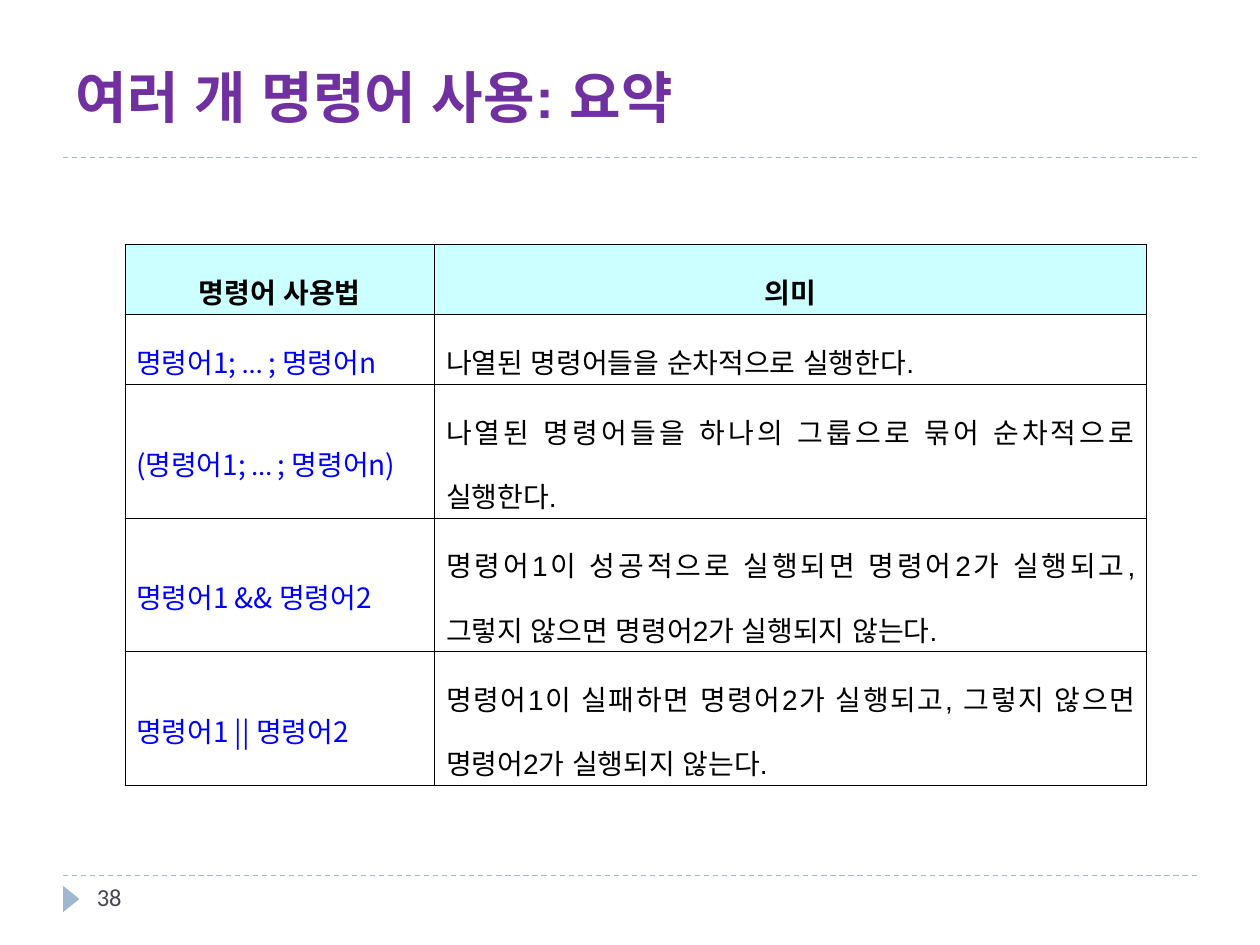
from lxml import etree
from pptx import Presentation
from pptx import util as u
from pptx.dml.color import RGBColor
from pptx.enum import dml, lang, shapes, text
from pptx.oxml import parse_xml
from pptx.oxml.ns import qn

Inches = u.Inches
ALIGN = text.PP_ALIGN
KOREAN_FONT = "Noto Sans CJK KR"
PURPLE, BLUE, BLACK = "7030A0", "0000FF", "000000"
STEEL, SLATE, CYAN = "9FB8CD", "464653", "CCFFFF"


def color(hex_text):
    return RGBColor.from_string(hex_text)


def add_text(paragraph, content, font="Arial", size=16, fill=BLACK, bold=False):
    run = paragraph.add_run()
    run.text = content
    run.font.name = font
    run.font.size = u.Pt(size)
    run.font.bold = bold
    run.font.color.rgb = color(fill)
    run.font.language_id = lang.MSO_LANGUAGE_ID.KOREAN
    latin = run.font._element.find(qn("a:latin"))
    east_asian = etree.Element(qn("a:ea"), typeface=KOREAN_FONT)
    latin.addnext(east_asian)


presentation = Presentation()
presentation.slide_width = Inches(10)
presentation.slide_height = Inches(7.5)
slide = presentation.slides.add_slide(presentation.slide_layouts[5])

# Dashed rules above and below the content
for y in (6.95, 1.25):
    rule = slide.shapes.add_connector(
        shapes.MSO_CONNECTOR.STRAIGHT, Inches(0.5), Inches(y), Inches(9.5), Inches(y))
    rule.line.color.rgb = color(STEEL)
    rule.line.width = u.Pt(0.75)
    rule.line.dash_style = dml.MSO_LINE.DASH
    etree.SubElement(rule._element.spPr, qn("a:effectLst"))

# Page marker and number
marker = slide.shapes.add_shape(
    shapes.MSO_SHAPE.ISOSCELES_TRIANGLE,
    Inches(0.46), Inches(7.07), Inches(0.21), Inches(0.13))
marker.rotation = 90
marker.shadow.inherit = False
marker.fill.solid()
marker.fill.fore_color.rgb = color(STEEL)
marker.line.fill.background()

number = slide.shapes.add_textbox(Inches(0.67), Inches(6.95), Inches(2.17), Inches(0.4))
number.text_frame.word_wrap = True
add_text(number.text_frame.paragraphs[0], "38", font="Calibri", size=14, fill=SLATE)

# Title
title = slide.shapes.title
title.left, title.top = Inches(0.5), Inches(0.17)
title.width, title.height = Inches(9), Inches(0.91)
title.text_frame.vertical_anchor = text.MSO_ANCHOR.BOTTOM
title.text_frame.auto_size = text.MSO_AUTO_SIZE.NONE
title_paragraph = title.text_frame.paragraphs[0]
title_paragraph.alignment = ALIGN.LEFT
add_text(title_paragraph, "여러 개 명령어 사용: 요약", size=32, fill=PURPLE, bold=True)

# Table content: usage pieces, then meaning
headers = (["명령어 사용법"], "의미")
commands = [
    (["명령어", "1; ", "… ", "; ", "명령어", "n"],
     "나열된 명령어들을 순차적으로 실행한다. "),
    (["(", "명령어", "1; ", "… ", "; ", "명령어", "n)"],
     "나열된 명령어들을 하나의 그룹으로 묶어 순차적으로 실행한다. "),
    (["명령어", "1 && ", "명령어", "2"],
     "명령어1이 성공적으로 실행되면 명령어2가 실행되고, 그렇지 않으면 명령어2가 실행되지 않는다."),
    (["명령어", "1 || ", "명령어", "2"],
     "명령어1이 실패하면 명령어2가 실행되고, 그렇지 않으면 명령어2가 실행되지 않는다."),
]
rows = [headers] + commands

# Two one-line rows, then three two-line rows
row_heights = [0.55] + [0.56] + [1.06] * 3
table = slide.shapes.add_table(
    len(rows), 2, Inches(0.99), Inches(1.94), Inches(8.11), Inches(sum(row_heights))).table
table.first_row = False
table.horz_banding = False
for column, width in zip(table.columns, (2.46, 5.65)):
    column.width = Inches(width)
for row, height in zip(table.rows, row_heights):
    row.height = Inches(height)

for row_index, (usage, meaning) in enumerate(rows):
    is_header = row_index == 0
    for column_index, pieces in enumerate((usage, [meaning])):
        cell = table.cell(row_index, column_index)
        cell.vertical_anchor = text.MSO_ANCHOR.MIDDLE
        cell.margin_left = cell.margin_right = Inches(0.02 if is_header else 0.09)
        cell.margin_top = cell.margin_bottom = Inches(0.02)

        # Text
        paragraph = cell.text_frame.paragraphs[0]
        paragraph.line_spacing = 1.6
        paragraph.alignment = ALIGN.CENTER if is_header else ALIGN.JUSTIFY
        for piece in pieces:
            if is_header or column_index == 1:
                add_text(paragraph, piece, bold=is_header)
            else:
                font = "Calibri" if piece in ("명령어", "… ") else KOREAN_FONT
                add_text(paragraph, piece, font=font, fill=BLUE)

        # Fill and borders
        if is_header:
            cell.fill.solid()
            cell.fill.fore_color.rgb = color(CYAN)
        else:
            cell.fill.background()
        for position, side in enumerate(("lnL", "lnR", "lnT", "lnB")):
            border = parse_xml(
                f'<a:{side} xmlns:a="http://schemas.openxmlformats.org/drawingml/2006/main"'
                f' w="{u.Pt(0.28)}"><a:solidFill><a:srgbClr val="{BLACK}"/></a:solidFill>'
                f'</a:{side}>')
            cell._tc.get_or_add_tcPr().insert(position, border)

presentation.save("out.pptx")
